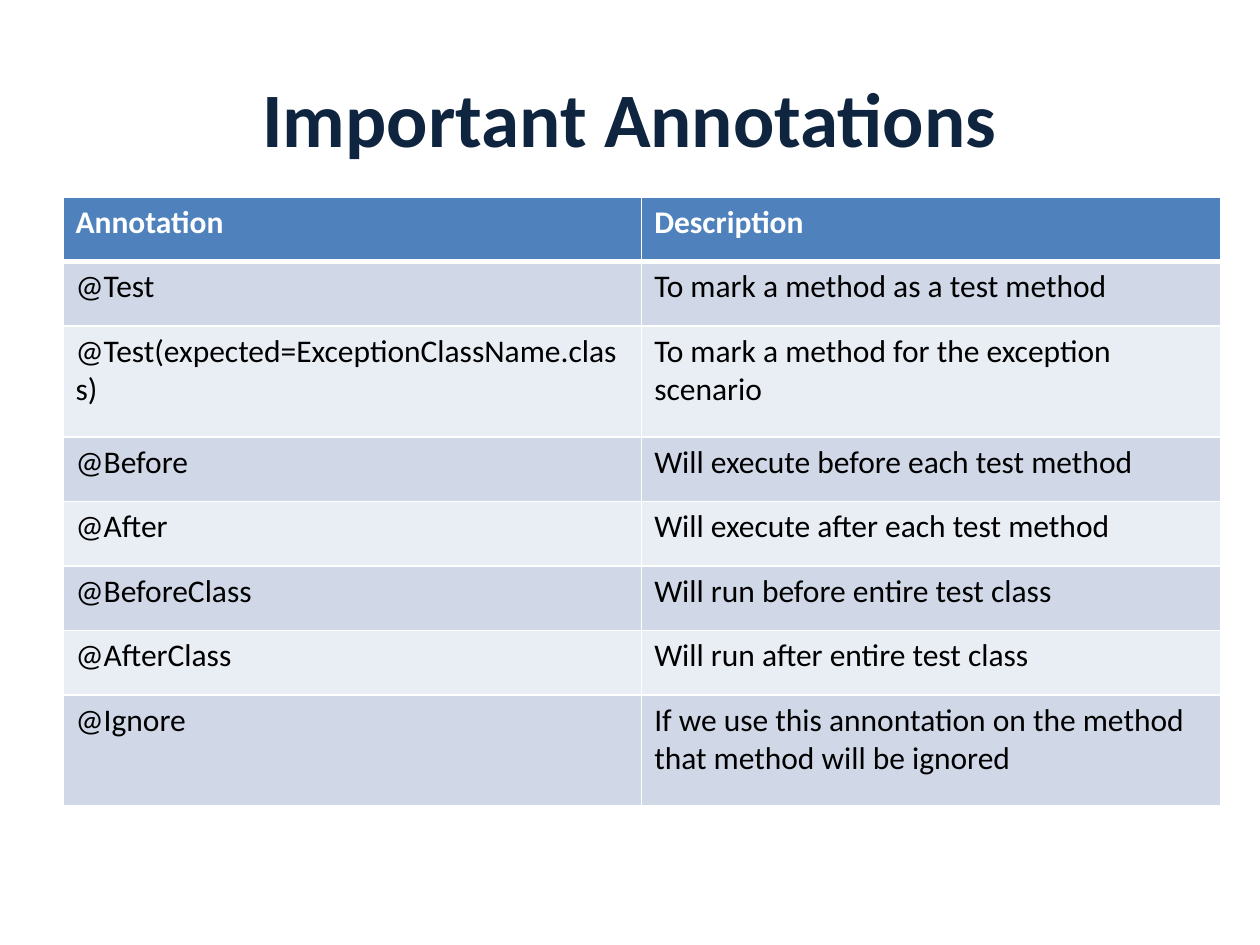
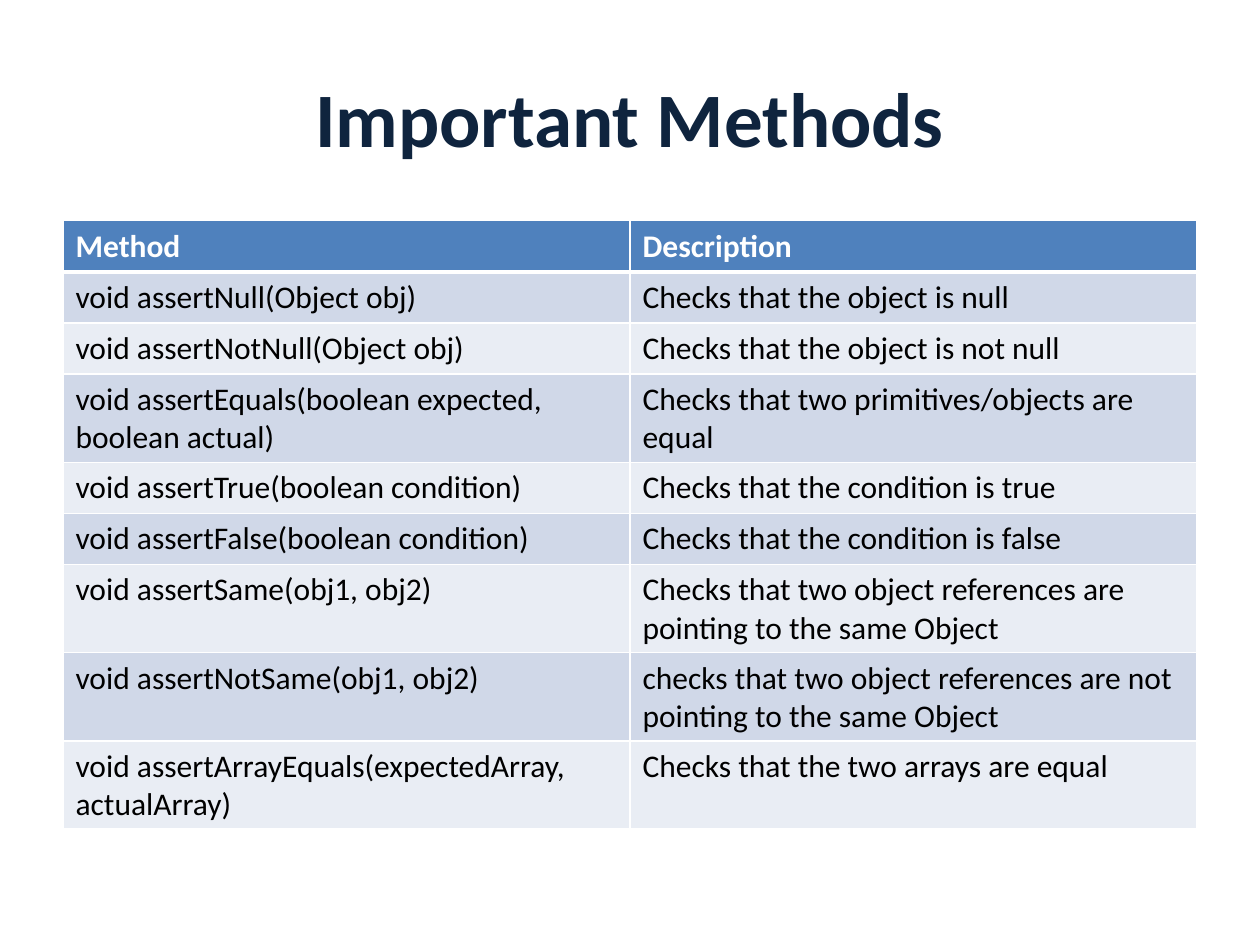
from lxml import etree
from pptx import Presentation
from pptx import util as u
from pptx.dml.color import RGBColor
from pptx.enum import text
from pptx.oxml import ns

NAVY = RGBColor(0x0F, 0x24, 0x3E)
BLUE = RGBColor(0x4F, 0x81, 0xBD)
BAND_DARK = RGBColor(0xD0, 0xD8, 0xE8)
BAND_LIGHT = RGBColor(0xE9, 0xED, 0xF4)
WHITE = RGBColor(0xFF, 0xFF, 0xFF)
BLACK = RGBColor(0, 0, 0)

TITLE_FONT = {"name": "Calibri", "size": u.Pt(44), "bold": True, "color": NAVY}
HEADER_FONT = {"name": "Calibri", "size": u.Pt(18), "bold": True, "color": WHITE}
BODY_FONT = {**HEADER_FONT, "bold": False, "color": BLACK}

ANNOTATIONS = [
    ("Annotation", "Description"),
    ("@Test", "To mark a method as a test method"),
    ("@Test(expected=ExceptionClassName.class)",
     "To mark a method for the exception scenario"),
    ("@Before", "Will execute before each test method"),
    ("@After", "Will execute after each test method"),
    ("@BeforeClass", "Will run before entire test class"),
    ("@AfterClass", "Will run after entire test class"),
    ("@Ignore ",
     "If we use this annontation on the method that method will be ignored"),
]
METHODS = [
    ("Method", "Description"),
    ("void assertNull(Object obj)", "Checks that the object is null"),
    ("void assertNotNull(Object obj)", "Checks that the object is not null"),
    ("void assertEquals(boolean expected, boolean actual)",
     "Checks that two primitives/objects are equal"),
    ("void assertTrue(boolean condition)", "Checks that the condition is true"),
    ("void assertFalse(boolean condition)", "Checks that the condition is false"),
    ("void assertSame(obj1, obj2)",
     "Checks that two object references are pointing to the same Object"),
    ("void assertNotSame(obj1, obj2)",
     "checks that two object references are not pointing to the same Object"),
    ("void assertArrayEquals(expectedArray, actualArray)",
     "Checks that the two arrays are equal"),
]


class Deck:
    """Holds the shared style and the current slide."""

    left = u.Cm(1.27)

    def __init__(self):
        """Start an empty 4:3 presentation."""
        self.show = Presentation()
        self.show.slide_width, self.show.slide_height = u.Cm(25.4), u.Cm(19.05)
        self.slide = None

    def new_slide(self, heading):
        """Add a blank slide with a centred heading."""
        self.slide = self.show.slides.add_slide(self.show.slide_layouts[6])
        title = self.slide.shapes.add_textbox(
            self.left, u.Cm(0.76), u.Cm(22.86), u.Cm(3.18))
        title.text_frame.word_wrap = True
        title.text_frame.vertical_anchor = text.MSO_ANCHOR.MIDDLE
        self.put_text(title.text_frame, heading, TITLE_FONT, text.PP_ALIGN.CENTER)

    def put_text(self, frame, words, style, align=text.PP_ALIGN.LEFT):
        """Put one formatted paragraph into a text frame."""
        paragraph = frame.paragraphs[0]
        paragraph.alignment = align
        run = paragraph.add_run()
        run.text = words
        for key, value in style.items():
            if key == "color":
                run.font.color.rgb = value
            else:
                setattr(run.font, key, value)

    def border(self, cell, widths):
        """Draw white cell edges, with widths in points by side."""
        properties = cell._tc.get_or_add_tcPr()
        for side, width in widths.items():
            edge = etree.SubElement(
                properties, ns.qn(f"a:ln{side}"), w=str(u.Pt(width)))
            fill = etree.SubElement(edge, ns.qn("a:solidFill"))
            etree.SubElement(fill, ns.qn("a:srgbClr"), val=str(WHITE))

    def table(self, rows, top, width, row_height, tall_rows=(), tall_height=None):
        """Add a two-column table with a header and alternating bands."""
        heights = [tall_height if i in tall_rows else row_height
                   for i in range(len(rows))]
        grid = self.slide.shapes.add_table(
            len(rows), 2, self.left, top, width, sum(heights)).table
        for column in grid.columns:
            column.width = width // 2
        for i, entries in enumerate(rows):
            grid.rows[i].height = heights[i]
            band = BLUE if i == 0 else BAND_DARK if i % 2 else BAND_LIGHT
            edges = {"L": 1, "R": 1, "T": 3 if i == 1 else 1,
                     "B": 3 if i == 0 else 1}
            for cell, words in zip(grid.rows[i].cells, entries):
                self.border(cell, edges)
                cell.fill.solid()
                cell.fill.fore_color.rgb = band
                self.put_text(cell.text_frame, words,
                              BODY_FONT if i else HEADER_FONT)


deck = Deck()
deck.new_slide("Important Annotations")
deck.table(ANNOTATIONS, u.Cm(3.97), u.Cm(23.33), u.Cm(1.3),
           tall_rows=(2, 7), tall_height=u.Cm(2.24))
deck.new_slide("Important Methods")
deck.table(METHODS, u.Cm(4.45), u.Cm(22.86), u.Cm(1.03))
deck.show.save("out.pptx")
